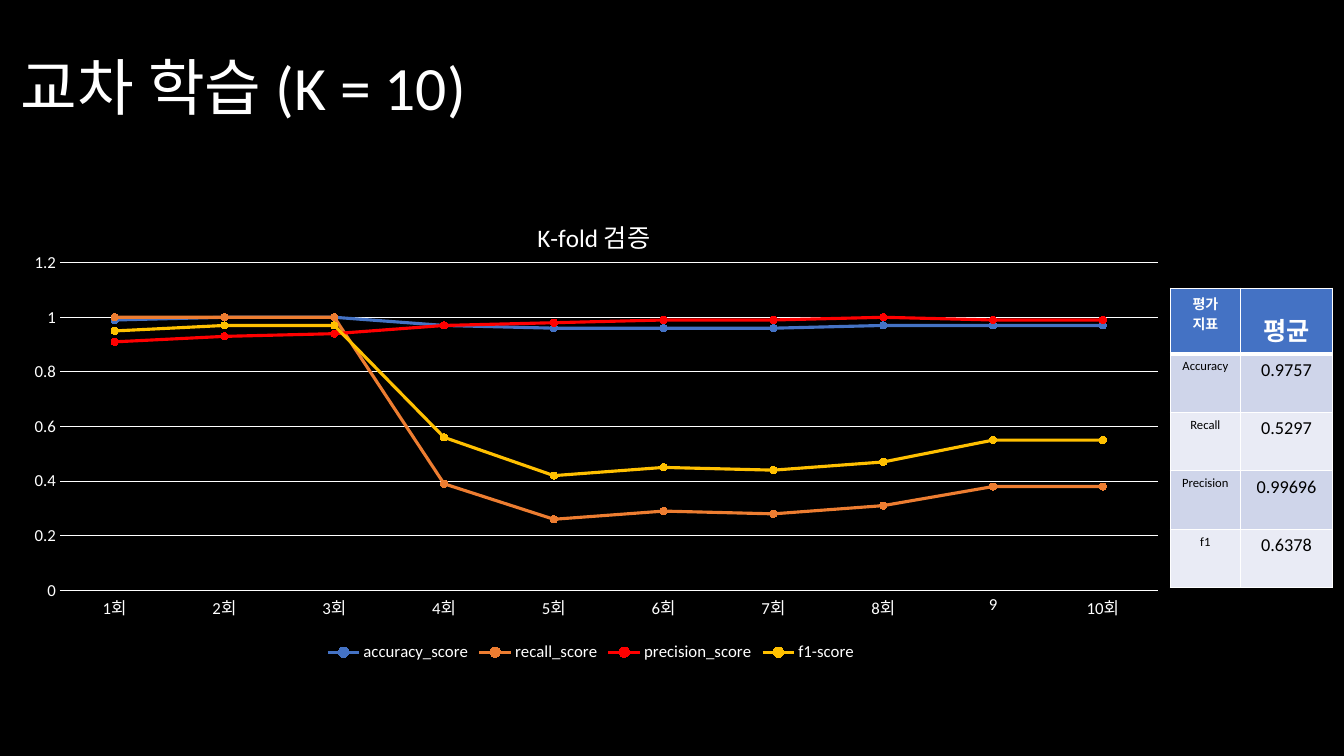
"""Build a slide with a K-fold line chart and a table of mean scores."""
import pptx
import pptx.util
import pptx.oxml
import pptx.oxml.ns
import pptx.chart.data
import pptx.dml.color
import pptx.enum.chart
import pptx.enum.text

Inches = pptx.util.Inches
Pt = pptx.util.Pt
FONT = "Calibri"
WHITE = "FFFFFF"
BLUE = "4472C4"


def tint(fill, color):
    fill.solid()
    fill.fore_color.rgb = pptx.dml.color.RGBColor.from_string(color)


def write(frame, text, size=12, color=WHITE, bold=False, align=None, space=None):
    frame.text = text
    for para in frame.paragraphs:
        para.alignment = align
        para.line_spacing = space
        font = para.runs[0].font
        font.name = FONT
        font.size = Pt(size)
        font.bold = bold
        tint(font.fill, color)


deck = pptx.Presentation()
deck.slide_width = Inches(13.33)
deck.slide_height = Inches(7.5)
slide = deck.slides.add_slide(deck.slide_layouts[6])
tint(slide.background.fill, "000000")

title = slide.shapes.add_textbox(Inches(0.11), Inches(0.17), Inches(11.5), Inches(1.45))
title.text_frame.word_wrap = True
title.text_frame.vertical_anchor = pptx.enum.text.MSO_ANCHOR.MIDDLE
write(title.text_frame, "교차 학습 (K = 10)", size=44, space=0.9)

scores = [
    ("accuracy_score", BLUE, [0.99, 1, 1, 0.97, 0.96, 0.96, 0.96, 0.97, 0.97, 0.97]),
    ("recall_score", "ED7D31", [1, 1, 1, 0.39, 0.26, 0.29, 0.28, 0.31, 0.38, 0.38]),
    ("precision_score", "FF0000", [0.91, 0.93, 0.94, 0.97, 0.98, 0.99, 0.99, 1, 0.99, 0.99]),
    ("f1-score", "FFC000", [0.95, 0.97, 0.97, 0.56, 0.42, 0.45, 0.44, 0.47, 0.55, 0.55]),
]
data = pptx.chart.data.CategoryChartData()
data.categories = ["1회", "2회", "3회", "4회", "5회", "6회", "7회", "8회", "9", "10회"]
for name, color, values in scores:
    data.add_series(name, values)
chart = slide.shapes.add_chart(
    pptx.enum.chart.XL_CHART_TYPE.LINE_MARKERS,
    Inches(0.11), Inches(1.85), Inches(11.5), Inches(4.76), data).chart
chart.font.name = FONT
chart.font.size = Pt(12)
tint(chart.font.fill, WHITE)
chart.has_title = True
write(chart.chart_title.text_frame, "K-fold 검증", size=18)
chart.has_legend = True
chart.legend.position = pptx.enum.chart.XL_LEGEND_POSITION.BOTTOM
chart.legend.include_in_layout = False

plot = chart.plots[0]
plot.vary_by_categories = False
for line, (name, color, values) in zip(plot.series, scores):
    line.smooth = False
    line.format.line.width = Pt(2.25)
    tint(line.format.line.fill, color)
    line.marker.style = pptx.enum.chart.XL_MARKER_STYLE.CIRCLE
    line.marker.size = 5
    tint(line.marker.format.fill, color)
    tint(line.marker.format.line.fill, color)

across, up = chart.category_axis, chart.value_axis
for axis in (across, up):
    axis.major_tick_mark = pptx.enum.chart.XL_TICK_MARK.NONE
    axis.minor_tick_mark = pptx.enum.chart.XL_TICK_MARK.NONE
up.minimum_scale = 0
up.maximum_scale = 1.2
up.major_unit = 0.2
up.tick_labels.number_format = "General"
up.tick_labels.number_format_is_linked = False
up.format.line.fill.background()
up.has_major_gridlines = True
for rule in (across.format.line, up.major_gridlines.format.line):
    rule.width = Pt(0.75)
    tint(rule.fill, WHITE)

CHART_NS = pptx.oxml.ns.nsdecls("c")
area = plot._element.getparent()
head = chart.chart_title._element
inner = {"layoutTarget": "inner", "xMode": "edge", "yMode": "edge",
         "x": 0.04, "y": 0.16, "w": 0.95, "h": 0.68}
inner.update(x=0.042, y=0.159, w=0.947, h=0.683)
place = {"xMode": "edge", "yMode": "edge", "x": 0.45, "y": 0.05}
for part, index, parts in ((area, 0, inner), (head, 1, place)):
    for old in part.findall(pptx.oxml.ns.qn("c:layout")):
        part.remove(old)
    body = "".join(f'<c:{key} val="{value}"/>' for key, value in parts.items())
    part.insert(index, pptx.oxml.parse_xml(
        f"<c:layout {CHART_NS}><c:manualLayout>{body}</c:manualLayout></c:layout>"))

rows = [("평가\n지표", "평균"), ("Accuracy", "0.9757"), ("Recall", "0.5297"),
        ("Precision", "0.99696"), ("f1", "0.6378")]
table = slide.shapes.add_table(
    len(rows), 2, Inches(11.61), Inches(2.86), Inches(1.61), Inches(2.97)).table
for column, width in zip(table.columns, (0.69, 0.92)):
    column.width = Inches(width)
for r, row in enumerate(rows):
    top = r == 0
    table.rows[r].height = Inches(0.65 if top else 0.58)
    for c, text in enumerate(row):
        cell = table.cell(r, c)
        cell.margin_left = cell.margin_right = Inches(0.05)
        size = ((10, 18) if top else (9, 13))[c]
        write(cell.text_frame, text, size=size, color=WHITE if top else "000000", bold=top,
              align=pptx.enum.text.PP_ALIGN.CENTER, space=1.5 if top and c else None)
        edges = cell._tc.get_or_add_tcPr()
        for side in "LRTB":
            thick = (top and side == "B") or (r == 1 and side == "T")
            edges.append(pptx.oxml.parse_xml(
                f'<a:ln{side} {pptx.oxml.ns.nsdecls("a")} w="{Pt(3 if thick else 1)}">'
                f'<a:solidFill><a:srgbClr val="{WHITE}"/></a:solidFill></a:ln{side}>'))
        tint(cell.fill, BLUE if top else ("E9EBF5", "CFD5EA")[r % 2])

deck.save("out.pptx")
